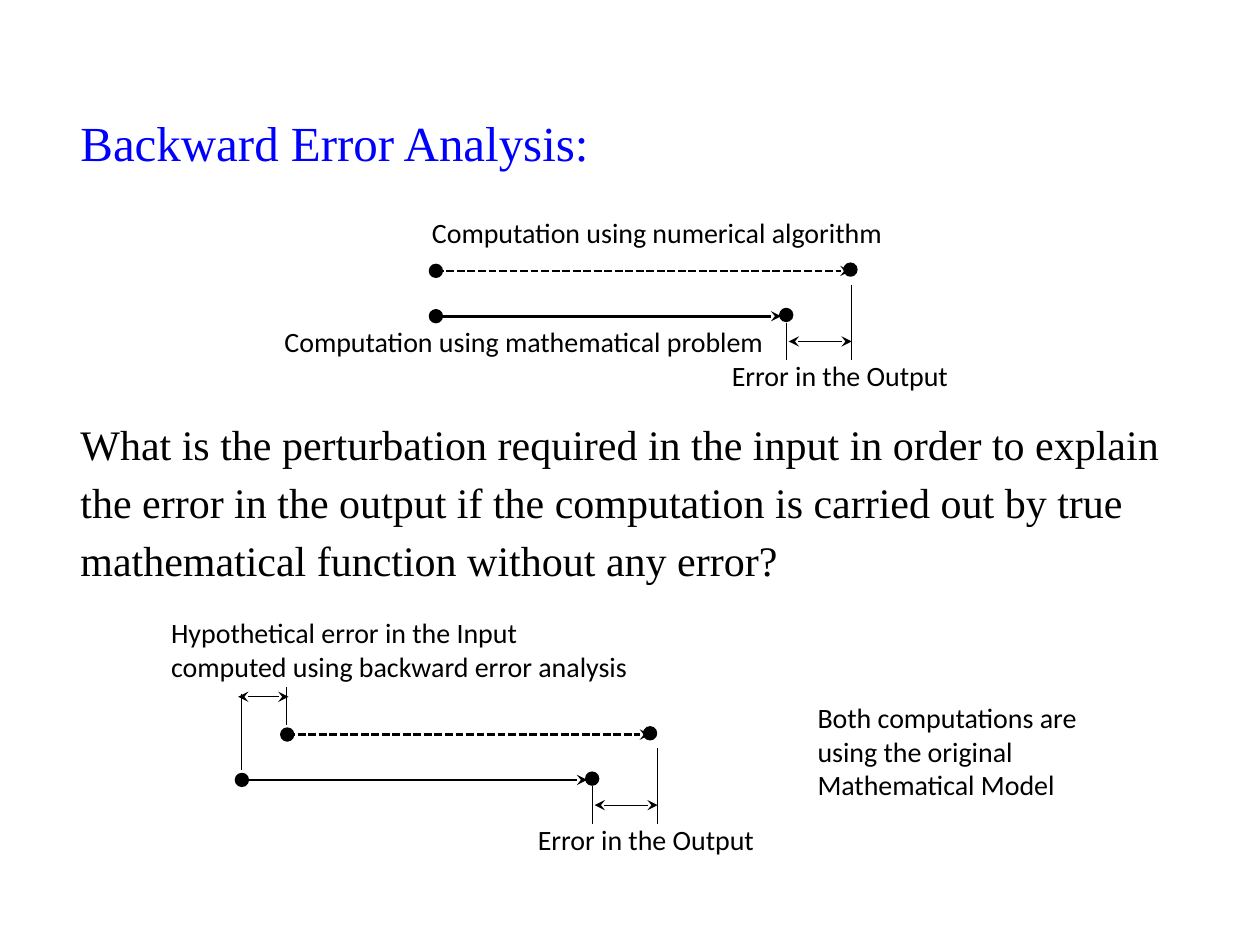
from dataclasses import dataclass

from lxml import etree
from pptx import Presentation
from pptx import util as u
from pptx.dml.color import RGBColor
from pptx.enum import dml, shapes, text
from pptx.oxml import ns

COLUMNS, ROWS = 100, 75
CELL = u.Inches(10) // COLUMNS


@dataclass(frozen=True)
class Theme:
    ink: RGBColor = RGBColor(0, 0, 0)
    heading: RGBColor = RGBColor(0, 0, 255)
    body_font: str = "Times New Roman"
    label_font: str = "Calibri"
    heading_size: int = 28
    body_size: int = 24
    label_size: int = 16
    arrow_width: float = 1.5
    dot_outline: float = 1
    gauge_width: float = 0.5


THEME = Theme()


def grid(*cells):
    return [round(cell * CELL) for cell in cells]


def add_text(parent, wording, box, font=THEME.label_font, size=THEME.label_size,
             color=THEME.ink, line_spacing=1.0):
    shape = parent.shapes.add_textbox(*grid(*box))
    frame = shape.text_frame
    frame.word_wrap = True
    frame.auto_size = text.MSO_AUTO_SIZE.NONE
    frame.text = wording
    paragraph = frame.paragraphs[0]
    paragraph.line_spacing = line_spacing
    for run in paragraph.runs:
        run.font.name = font
        run.font.size = u.Pt(size)
        run.font.color.rgb = color


def add_line(parent, start, end, width=THEME.gauge_width, dashed=False, arrows=()):
    connector = parent.shapes.add_connector(
        shapes.MSO_CONNECTOR.STRAIGHT, *grid(*start, *end))
    connector.line.color.rgb = THEME.ink
    connector.line.width = u.Pt(width)
    if dashed:
        connector.line.dash_style = dml.MSO_LINE.SQUARE_DOT
    outline = connector.line._get_or_add_ln()
    for arrow in arrows:
        etree.SubElement(outline, ns.qn(f"a:{arrow}"), type="stealth")
    etree.SubElement(connector._element.spPr, ns.qn("a:effectLst"))


def add_dot(parent, x, y):
    dot = parent.shapes.add_shape(
        shapes.MSO_SHAPE.OVAL, *grid(x - 0.5, y - 0.5, 1, 1))
    dot.shadow.inherit = False
    dot.fill.solid()
    dot.fill.fore_color.rgb = THEME.ink
    dot.line.color.rgb = THEME.ink
    dot.line.width = u.Pt(THEME.dot_outline)


def add_gauge(parent, left, right, y):
    add_line(parent, (left, y), (right, y), arrows=("headEnd", "tailEnd"))


def add_computations(slide, left, solid_y, dashed_start, dashed_end):
    group = slide.shapes.add_group_shape()
    dashed_y = solid_y - 3.6
    solid_end = left + 27.8
    output_x = left + 33
    add_line(group, (left + 0.4, solid_y), (left + 27.4, solid_y),
             THEME.arrow_width, arrows=("tailEnd",))
    add_line(group, (dashed_start, dashed_y), (dashed_end, dashed_y),
             THEME.arrow_width, dashed=True, arrows=("tailEnd",))
    for x, y in ((left, solid_y), (solid_end, solid_y - 0.1),
                 (dashed_start, dashed_y), (dashed_end, dashed_y - 0.1)):
        add_dot(group, x, y)
    add_line(group, (output_x, solid_y - 2.5), (output_x, solid_y + 3.5))
    add_line(group, (solid_end, solid_y + 0.5), (solid_end, solid_y + 3.5))
    add_gauge(group, solid_end + 0.2, output_x, solid_y + 2)
    add_text(group, "Error in the Output", (left + 22.5, solid_y + 2.9, 19.5, 3.7))
    return group


def add_forward_diagram(slide):
    group = add_computations(slide, 34.6, 25.1, 34.6, 67.5)
    add_text(group, "Computation using numerical algorithm", (33.3, 16.6, 38.1, 3.7))
    add_text(group, "Computation using mathematical problem", (21.6, 25.3, 41.4, 3.7))


def add_backward_diagram(slide):
    group = add_computations(slide, 19.2, 61.9, 22.8, 51.6)
    add_line(group, (22.7, 54.5), (22.7, 57.5))
    add_line(group, (19.2, 55.1), (19.2, 61.1))
    add_gauge(group, 18.9, 22.9, 55.3)
    add_text(group, "Hypothetical error in the Input computed using backward error analysis",
             (12.6, 48.4, 38.8, 6.4))
    add_text(group, "Both computations are using the original Mathematical Model",
             (63.9, 55.1, 25, 9.1))


def main():
    presentation = Presentation()
    presentation.slide_width = COLUMNS * CELL
    presentation.slide_height = ROWS * CELL
    slide = presentation.slides.add_slide(presentation.slide_layouts[6])
    add_text(slide, "Backward Error Analysis:", (5.4, 9, 90.7, 5.5),
             THEME.body_font, THEME.heading_size, THEME.heading, 0.9)
    add_text(slide, "What is the perturbation required in the input in order to explain "
             "the error in the output if the computation is carried out by true "
             "mathematical function without any error?", (5.4, 32.1, 90.7, 14.5),
             THEME.body_font, THEME.body_size, line_spacing=1.15)
    add_forward_diagram(slide)
    add_backward_diagram(slide)
    presentation.save("out.pptx")


if __name__ == "__main__":
    main()
